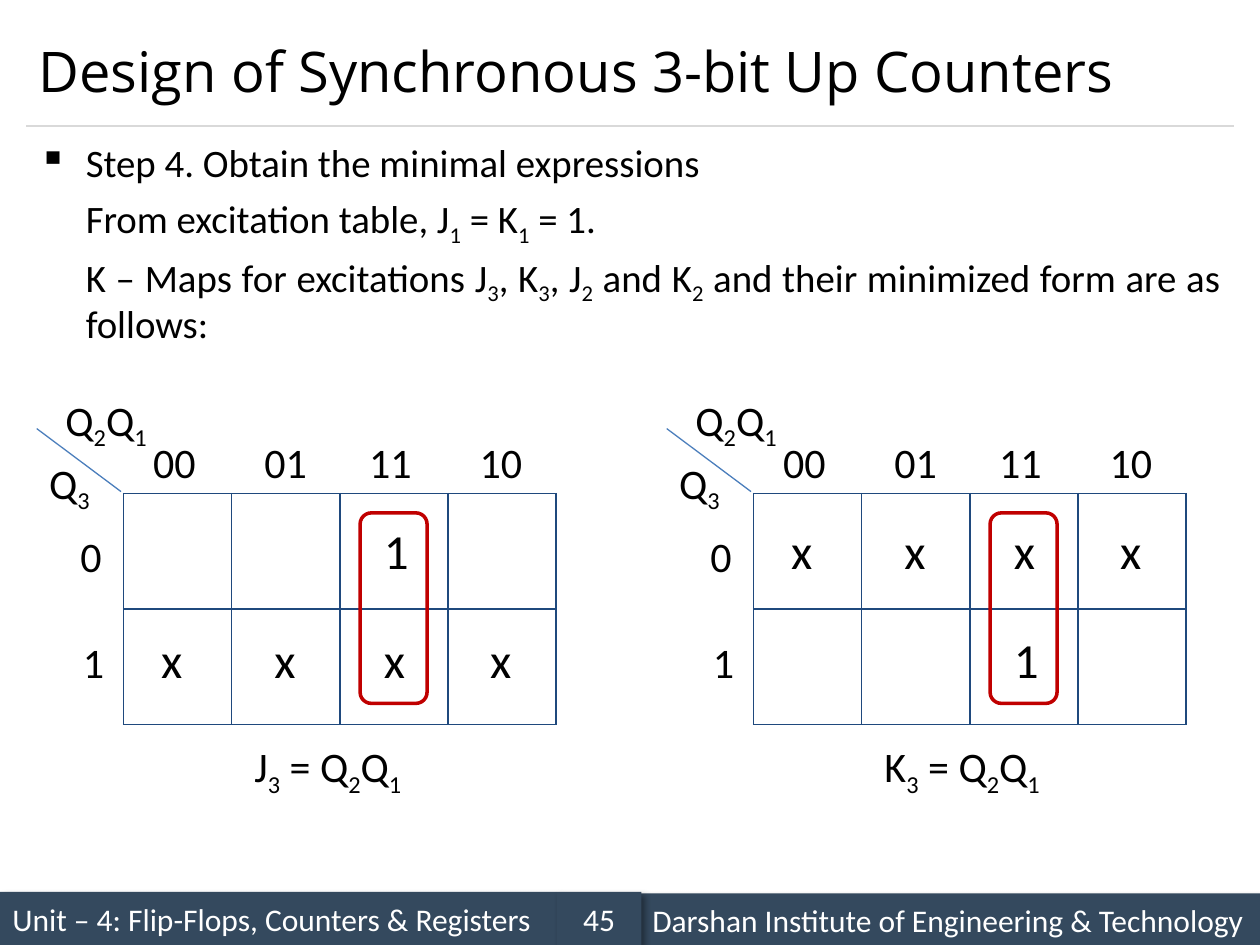
from dataclasses import dataclass

from lxml import etree
from pptx import Presentation
from pptx import util as u
from pptx.dml.color import RGBColor
from pptx.enum import shapes, text
from pptx.oxml import parse_xml
from pptx.oxml.ns import nsdecls, qn

BLACK = RGBColor(0x00, 0x00, 0x00)
WHITE = RGBColor(0xFF, 0xFF, 0xFF)
SLATE = RGBColor(0x34, 0x49, 0x5E)
RULE_GREY = RGBColor(0xD9, 0xD9, 0xD9)
NAVY = RGBColor(0x1F, 0x49, 0x7D)
BLUE = RGBColor(0x4B, 0x7E, 0xBC)
RED = RGBColor(0xC0, 0x00, 0x00)

CELL_W, CELL_H = 2.18, 2.33
COLUMN_CODES = ("00", "01", "11", "10")
COLUMN_X = (2.84, 5.08, 7.19, 9.42)
VALUE_X = (3.0, 5.28, 7.49, 9.63)
VALUE_Y = (10.36, 12.57)


@dataclass
class KMap:
    left: float
    rows: tuple[str, str]
    result: str
    result_width: float


@dataclass
class FooterBar:
    label: str
    left: float
    top: float
    width: float
    align: text.PP_ALIGN


KMAPS = (
    KMap(0, ("  1 ", "xxxx"), "J_3 = Q_2Q_1", 3.61),
    KMap(12.7, ("xxxx", "  1 "), "K_3 = Q_2Q_1", 3.78),
)
FOOTER = (
    FooterBar("Unit – 4: Flip-Flops, Counters & Registers", 0, 17.98, 11.23, text.PP_ALIGN.LEFT),
    FooterBar("Darshan Institute of Engineering & Technology", 12.9, 18.01, 12.5, text.PP_ALIGN.LEFT),
    FooterBar("45", 11.23, 17.98, 1.7, text.PP_ALIGN.CENTER),
)
STEPS = (
    "Step 4. Obtain the minimal expressions",
    "From excitation table, J_1 = K_1 = 1.",
    "K – Maps for excitations J_3, K_3, J_2 and K_2 and their minimized form are as follows:",
)


def write(p, content: str, size: float, color=BLACK, font: str = "Calibri") -> None:
    """Fill a paragraph; the character after each underscore is a subscript."""
    first, *rest = content.split("_")
    pieces = [(first, False)]
    for part in rest:
        pieces += [(part[0], True), (part[1:], False)]
    for piece, lowered in pieces:
        if not piece:
            continue
        r = p.add_run()
        r.text = piece
        r.font.size = u.Pt(size)
        r.font.name = font
        r.font.color.rgb = color
        if lowered:
            r.font._element.set("baseline", "-25000")


def add_label(s, content: str, left: float, top: float, width: float, size: float = 24) -> None:
    height = 1.27 if size == 24 else 1.45
    tf = s.shapes.add_textbox(u.Cm(left), u.Cm(top), u.Cm(width), u.Cm(height)).text_frame
    tf.word_wrap = False
    tf.auto_size = text.MSO_AUTO_SIZE.SHAPE_TO_FIT_TEXT
    write(tf.paragraphs[0], content, size)


def add_line(s, x1: float, y1: float, x2: float, y2: float, color: RGBColor) -> None:
    line = s.shapes.add_connector(
        shapes.MSO_CONNECTOR.STRAIGHT, u.Cm(x1), u.Cm(y1), u.Cm(x2), u.Cm(y2))
    line.line.color.rgb = color
    line.line.width = u.Pt(0.75)
    etree.SubElement(line._element.spPr, qn("a:effectLst"))


def add_footer_bar(s, bar: FooterBar) -> None:
    sp = s.shapes.add_shape(shapes.MSO_SHAPE.RECTANGLE, u.Cm(bar.left), u.Cm(bar.top),
                            u.Cm(bar.width), u.Cm(1.07))
    sp.fill.solid()
    sp.fill.fore_color.rgb = SLATE
    sp.line.fill.background()
    sp.shadow.inherit = False
    sp._element.spPr.find(qn("a:effectLst")).append(parse_xml(
        f'<a:outerShdw {nsdecls("a")} blurRad="50800" dist="38100" dir="2700000">'
        '<a:srgbClr val="000000"><a:alpha val="40000"/></a:srgbClr></a:outerShdw>'))
    tf = sp.text_frame
    tf.word_wrap = True
    tf.vertical_anchor = text.MSO_ANCHOR.MIDDLE
    tf.paragraphs[0].alignment = bar.align
    write(tf.paragraphs[0], bar.label, 18, WHITE)


def add_grid(s, left: float) -> None:
    table = s.shapes.add_table(2, 4, u.Cm(left), u.Cm(9.95),
                               u.Cm(4 * CELL_W), u.Cm(2 * CELL_H)).table
    table.first_row = table.horz_banding = False
    for column in table.columns:
        column.width = u.Cm(CELL_W)
    for row in table.rows:
        row.height = u.Cm(CELL_H)
    for cell in table.iter_cells():
        cell.fill.background()
        tc_pr = cell._tc.get_or_add_tcPr()
        for i, side in enumerate("LRTB"):
            tc_pr.insert(i, parse_xml(
                f'<a:ln{side} {nsdecls("a")} w="12700"><a:solidFill>'
                f'<a:srgbClr val="{NAVY}"/></a:solidFill></a:ln{side}>'))


def add_kmap(s, kmap: KMap) -> None:
    x = kmap.left
    add_grid(s, x + 2.49)

    # Axis names and codes
    add_line(s, x + 2.44, 9.91, x + 0.74, 8.64, BLUE)
    add_label(s, "Q_2Q_1", x + 1.07, 7.82, 2.24)
    add_label(s, "Q_3", x + 0.74, 9.09, 1.37)
    for code, dx in zip(COLUMN_CODES, COLUMN_X):
        add_label(s, code, x + dx, 8.67, 1.37)
    add_label(s, "0", x + 1.37, 10.57, 0.94)
    add_label(s, "1", x + 1.42, 12.7, 0.94)

    # Cell values
    for row, top in zip(kmap.rows, VALUE_Y):
        for value, dx in zip(row, VALUE_X):
            if value != " ":
                add_label(s, value, x + dx, top, 0.94, 28)

    # Grouping loop and resulting expression
    loop = s.shapes.add_shape(shapes.MSO_SHAPE.FLOWCHART_ALTERNATE_PROCESS,
                              u.Cm(x + 7.26), u.Cm(10.34), u.Cm(1.35), u.Cm(3.84))
    loop.fill.background()
    loop.line.color.rgb = RED
    loop.line.width = u.Pt(2)
    loop.shadow.inherit = False
    add_label(s, kmap.result, x + 4.88, 14.81, kmap.result_width)


def add_heading(s) -> None:
    tf = s.shapes.add_textbox(u.Cm(0.53), u.Cm(0.3), u.Cm(24.33), u.Cm(2.24)).text_frame
    tf.word_wrap = True
    tf.vertical_anchor = text.MSO_ANCHOR.MIDDLE
    write(tf.paragraphs[0], "Design of Synchronous 3-bit Up Counters", 32, font="Open Sans")


def add_steps(s) -> None:
    tf = s.shapes.add_textbox(u.Cm(0.53), u.Cm(2.74), u.Cm(24.33), u.Cm(4.24)).text_frame
    tf.word_wrap = True
    for i, step in enumerate(STEPS):
        p = tf.add_paragraph() if i else tf.paragraphs[0]
        p.alignment = text.PP_ALIGN.JUSTIFY
        p.line_spacing = 0.94
        p_pr = p._p.get_or_add_pPr()
        p_pr.set("marL", str(u.Cm(0.95)))
        if i:
            p.space_before = u.Pt(5)
            p_pr.set("indent", "0")
        else:
            p_pr.set("indent", str(-u.Cm(0.95)))
            etree.SubElement(p_pr, qn("a:buChar")).set("char", "▪")
        write(p, step, 22.2)


def main() -> None:
    prs = Presentation()
    prs.slide_width, prs.slide_height = u.Cm(25.4), u.Cm(19.05)
    s = prs.slides.add_slide(prs.slide_layouts[6])

    # Footer and heading rule
    for bar in FOOTER:
        add_footer_bar(s, bar)
    add_line(s, 0.53, 2.54, 24.87, 2.54, RULE_GREY)

    # Heading, explanation and Karnaugh maps
    add_heading(s)
    add_steps(s)
    for kmap in KMAPS:
        add_kmap(s, kmap)

    prs.save("out.pptx")


if __name__ == "__main__":
    main()
